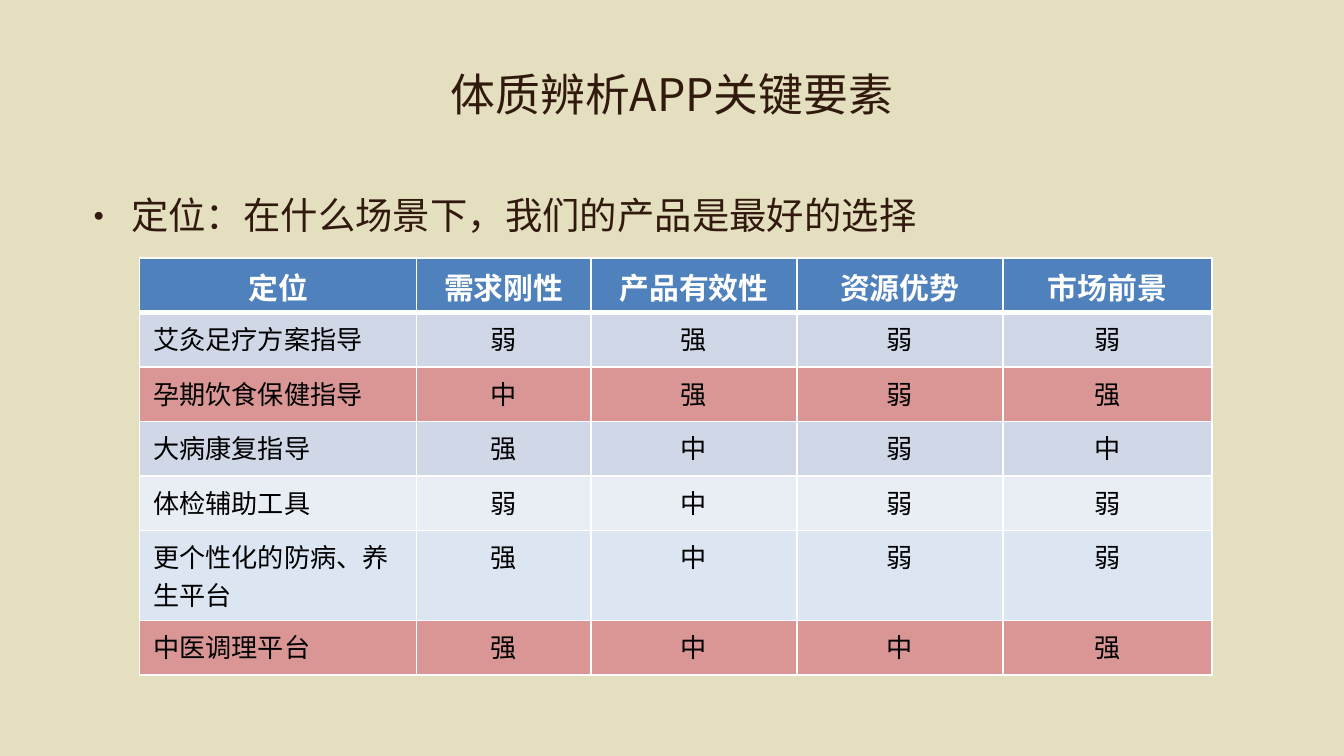
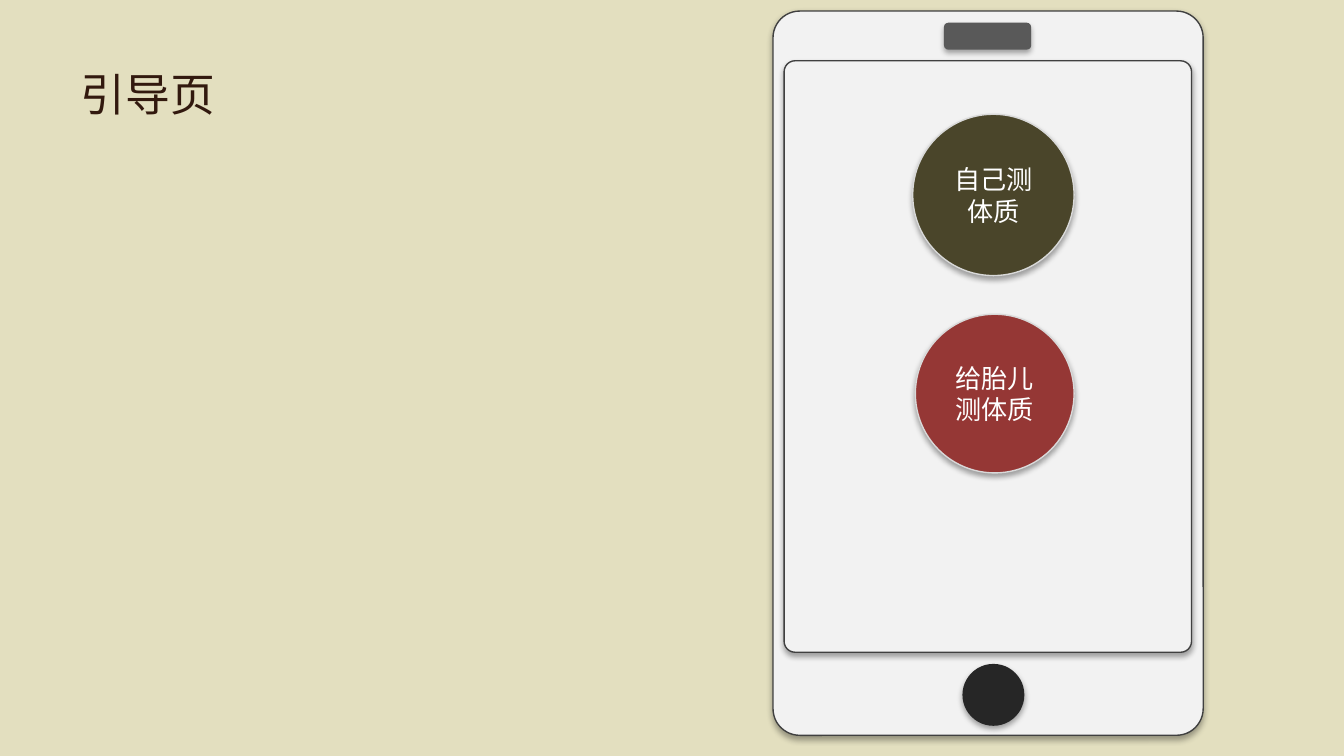
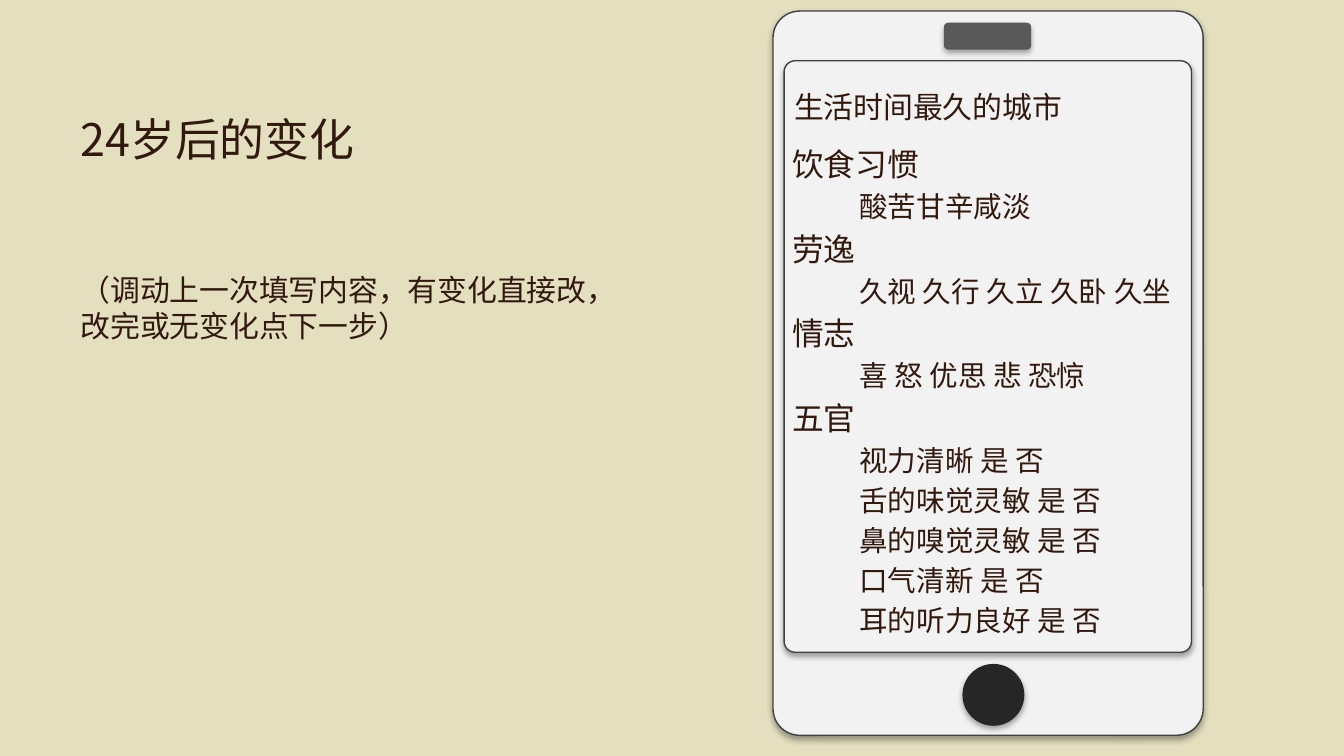
import pptx
import pptx.util
import pptx.oxml
import pptx.oxml.ns
import pptx.dml.color
import pptx.enum.shapes
import pptx.enum.text
from pptx.util import Cm

FONT = "Noto Sans CJK SC"
COLORS = {
    "background": "E3DFBF", "ink": "32190E", "white": "FFFFFF", "black": "000000",
    "header": "4F81BD", "band_dark": "D0D8E8", "band_light": "E9EDF4",
    "plain": "DCE6F2", "highlight": "D99694",
    "phone": "F2F2F2", "phone_edge": "404040", "button": "262626", "speaker": "595959",
    "self_test": "4A452A", "fetus_test": "953735", "circle_edge": "D9D9D9",
}
TITLE_BOX = (1.27, 0.58, 22.86, 2.39)
PHONE_BOX = (14.61, 0.21, 8.13, 13.69)
ALIGN = pptx.enum.text.PP_ALIGN
ANCHOR = pptx.enum.text.MSO_ANCHOR
PRESET = pptx.enum.shapes.MSO_SHAPE


# ---- shared helpers: boxes are (left, top, width, height) in centimetres ----
def color(name):
    return pptx.dml.color.RGBColor.from_string(COLORS[name])


def lengths(box):
    return [Cm(value) for value in box]


def inside(box, left, top, width, height):
    return box[0] + left, box[1] + top, width, height


def draw_xml(parent, xml):
    declared = xml.replace(" ", " " + pptx.oxml.ns.nsdecls("a") + " ", 1)
    element = pptx.oxml.parse_xml(declared)
    parent.append(element)
    return element


def style(paragraph, size, ink="ink", align=ALIGN.LEFT, bold=False):
    paragraph.alignment = align
    font = paragraph.font
    font.size = pptx.util.Pt(size)
    font.name = FONT
    font.bold = bold
    font.color.rgb = color(ink)
    # East Asian characters take their own typeface
    defaults = paragraph._p.pPr.find(pptx.oxml.ns.qn("a:defRPr"))
    latin = defaults.find(pptx.oxml.ns.qn("a:latin"))
    latin.addnext(draw_xml(defaults, f'<a:ea typeface="{FONT}"/>'))


def write(frame, lines, **look):
    """Fill a text frame with (text, size) lines and return its paragraphs."""
    frame.word_wrap = True
    for index, (text, size) in enumerate(lines):
        paragraph = frame.add_paragraph() if index else frame.paragraphs[0]
        paragraph.text = text
        style(paragraph, size, **look)
    return frame.paragraphs


def tighten(paragraph, size):
    paragraph.line_spacing = pptx.util.Pt(round(1.2 * size, 1))


def text_box(slide, box, lines):
    return write(slide.shapes.add_textbox(*lengths(box)).text_frame, lines)


def body_line(slide, box, text, size):
    paragraph = text_box(slide, box, [(text, size)])[0]
    paragraph.line_spacing = 1.2
    paragraph.space_before = pptx.util.Pt(0.2 * size)
    return paragraph


def raised_shape(shapes, preset, box, fill, edge=None, corner=None):
    shape = shapes.add_shape(preset, *lengths(box))
    if corner is not None:
        shape.adjustments[0] = corner
    shape.fill.solid()
    shape.fill.fore_color.rgb = color(fill)
    if edge:
        shape.line.color.rgb = color(edge)
        shape.line.width = pptx.util.Pt(0.75)
    else:
        shape.line.fill.background()
    # Soft shadow straight below
    shape.shadow.inherit = False
    effects = shape._element.spPr.find(pptx.oxml.ns.qn("a:effectLst"))
    draw_xml(effects, '<a:outerShdw blurRad="39370" dist="22860" dir="5400000" rotWithShape="0">'
             f'<a:srgbClr val="{COLORS["black"]}"><a:alpha val="35000"/></a:srgbClr></a:outerShdw>')
    return shape


def titled_slide(deck, box, lines, align=ALIGN.LEFT):
    slide = deck.slides.add_slide(deck.slide_layouts[5])
    title = slide.shapes.title
    title.left, title.top, title.width, title.height = lengths(box)
    title.text_frame.vertical_anchor = ANCHOR.MIDDLE
    return slide, write(title.text_frame, lines, align=align)


# ---- positioning table ----
def cell_borders(cell, bottom):
    properties = cell._tc.get_or_add_tcPr()
    for index, (side, points) in enumerate((("L", 1), ("R", 1), ("T", 1), ("B", bottom))):
        line = draw_xml(properties, f'<a:ln{side} w="{points * 12700}"><a:solidFill>'
                        f'<a:srgbClr val="{COLORS["white"]}"/></a:solidFill></a:ln{side}>')
        properties.insert(index, line)


def positioning_table(slide, left, top):
    headings = ["定位", "需求刚性", "产品有效性", "资源优势", "市场前景"]
    ratings = [
        ("艾灸足疗方案指导", "弱强弱弱", "band_dark"),
        ("孕期饮食保健指导", "中强弱强", "highlight"),
        ("大病康复指导", "强中弱中", "band_dark"),
        ("体检辅助工具", "弱中弱弱", "band_light"),
        ("更个性化的防病、养生平台", "强中弱弱", "plain"),
        ("中医调理平台", "强中中强", "highlight"),
    ]
    rows = [(headings, "header")] + [([name, *grades], fill) for name, grades, fill in ratings]
    widths = [5.23, 3.3, 3.89, 3.89, 3.96]
    # A name of more than nine characters wraps onto a second line
    heights = [1.7 if len(texts[0]) > 9 else 1.03 for texts, _ in rows]
    box = (left, top, sum(widths), sum(heights))
    table = slide.shapes.add_table(len(rows), len(widths), *lengths(box)).table
    for column, width in zip(table.columns, widths):
        column.width = Cm(width)
    for r, (texts, fill) in enumerate(rows):
        table.rows[r].height = Cm(heights[r])
        heading = r == 0
        for c, text in enumerate(texts):
            cell = table.cell(r, c)
            cell.fill.solid()
            cell.fill.fore_color.rgb = color(fill)
            cell_borders(cell, 3 if heading else 1)
            write(cell.text_frame, [(text, 16 if heading else 14)],
                  ink="white" if heading else "black", bold=heading,
                  align=ALIGN.CENTER if heading or c else ALIGN.LEFT)


# ---- phone mock-up ----
def phone(slide, box):
    """Draw the phone and return the box of its screen."""
    screen = inside(box, 0.21, 0.94, 7.7, 11.18)
    parts = slide.shapes.add_group_shape().shapes
    raised_shape(parts, PRESET.ROUNDED_RECTANGLE, box, "phone", "phone_edge", 0.062)
    raised_shape(parts, PRESET.ROUNDED_RECTANGLE, screen, "phone", "phone_edge", 0.027)
    raised_shape(parts, PRESET.OVAL, inside(box, 3.58, 12.34, 1.17, 1.17), "button")
    raised_shape(parts, PRESET.ROUNDED_RECTANGLE, inside(box, 3.23, 0.22, 1.65, 0.51), "speaker")
    return screen


def choice_circle(slide, box, lines, fill):
    circle = raised_shape(slide.shapes, PRESET.OVAL, box, fill, "circle_edge")
    frame = circle.text_frame
    frame.vertical_anchor = ANCHOR.MIDDLE
    frame.margin_left = frame.margin_right = Cm(0.1)
    frame.margin_top = frame.margin_bottom = 0
    for paragraph in write(frame, [(line, 14) for line in lines],
                           ink="white", align=ALIGN.CENTER):
        tighten(paragraph, 14)


def questionnaire(slide, screen):
    sections = {
        "饮食习惯": ["酸苦甘辛咸淡"],
        "劳逸": ["久视 久行 久立 久卧 久坐"],
        "情志": ["喜 怒 优思 悲 恐惊"],
        "五官": ["视力清晰 是 否", "舌的味觉灵敏 是 否", "鼻的嗅觉灵敏 是 否",
               "口气清新 是 否", "耳的听力良好 是 否"],
    }
    topic_size, item_size = 17, 15.3
    lines = []
    for topic, items in sections.items():
        lines.append((topic, topic_size))
        lines += [(item, item_size) for item in items]
    body_line(slide, inside(screen, -0.06, 0.27, 9.32, 10.03), "生活时间最久的城市", 16)
    paragraphs = text_box(slide, inside(screen, -0.1, 1.47, 9.32, 10.03), lines)
    for paragraph, (_, size) in zip(paragraphs, lines):
        tighten(paragraph, size)
        paragraph.space_before = pptx.util.Pt(round(0.2 * size, 1))
        if size == item_size:
            paragraph.level = 1
            paragraph._p.pPr.set("marL", str(Cm(1.27)))
            paragraph._p.pPr.set("indent", "0")


# ---- slides ----
def positioning_slide(deck):
    slide, _ = titled_slide(deck, TITLE_BOX, [("体质辨析APP关键要素", 24)], ALIGN.CENTER)
    point = body_line(slide, (1.27, 3.33, 22.86, 9.42),
                      "定位：在什么场景下，我们的产品是最好的选择", 20)
    properties = point._p.pPr
    properties.set("marL", str(Cm(0.96)))
    properties.set("indent", str(-Cm(0.96)))
    defaults = properties.find(pptx.oxml.ns.qn("a:defRPr"))
    for mark in (f'<a:buFont typeface="{FONT}"/>', '<a:buChar char="•"/>'):
        defaults.addprevious(draw_xml(properties, mark))
    positioning_table(slide, 2.64, 4.88)


def guide_slide(deck):
    slide, _ = titled_slide(deck, TITLE_BOX, [("引导页", 24)])
    screen = phone(slide, PHONE_BOX)
    choice_circle(slide, inside(screen, 2.43, 1.01, 3.05, 3.05), ["自己测", "体质"], "self_test")
    choice_circle(slide, inside(screen, 2.48, 4.79, 3, 3), ["给胎儿测体质"], "fetus_test")


def changes_slide(deck):
    lines = [("24岁后的变化", 24),
             ("（调动上一次填写内容，有变化直接改，改完或无变化点下一步）", 16)]
    slide, paragraphs = titled_slide(deck, (1.27, 0.58, 10.77, 7.44), lines)
    for paragraph, (_, size) in zip(paragraphs, lines):
        tighten(paragraph, size)
    paragraphs[1].space_before = pptx.util.Pt(57)
    questionnaire(slide, phone(slide, PHONE_BOX))


deck = pptx.Presentation()
deck.slide_width, deck.slide_height = Cm(25.4), Cm(14.29)
backdrop = deck.slide_master.background.fill
backdrop.solid()
backdrop.fore_color.rgb = color("background")
positioning_slide(deck)
guide_slide(deck)
changes_slide(deck)
deck.save("out.pptx")
